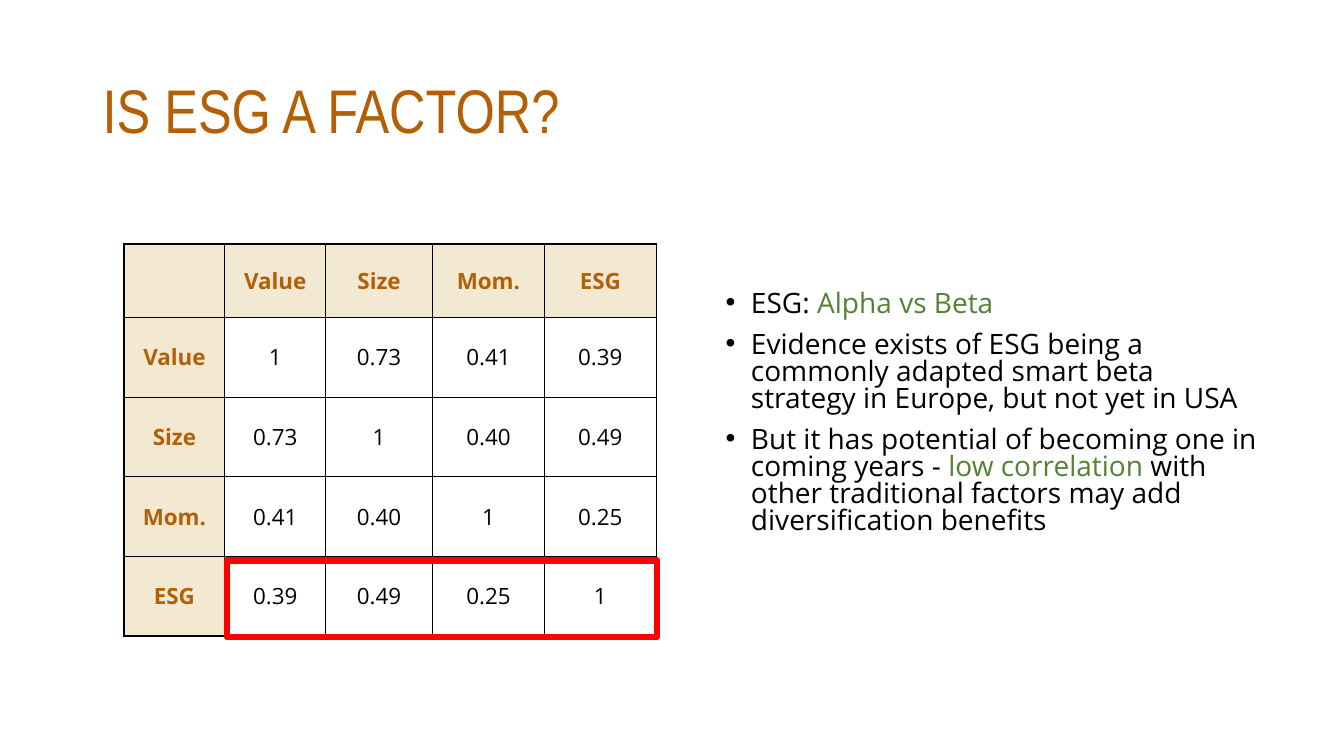
from lxml import etree
from pptx import Presentation
from pptx.dml.color import RGBColor
from pptx.enum import shapes, text
from pptx.oxml import ns
from pptx.util import Inches, Pt

INK = {"rust": "B45F06", "sand": "F3E9D3", "black": "000000",
       "green": "548235", "red": "FF0000", "white": "FFFFFF"}
FACTORS = ["Value", "Size", "Mom.", "ESG"]
SCORES = [["1", "0.73", "0.41", "0.39"],
          ["0.73", "1", "0.40", "0.49"],
          ["0.41", "0.40", "1", "0.25"],
          ["0.39", "0.49", "0.25", "1"]]
POINTS = [
    [("ESG: ", "black"), ("Alpha vs Beta", "green")],
    [("Evidence exists of ESG being a commonly adapted smart beta "
      "strategy in Europe, but not yet in USA", "black")],
    [("But it has potential of becoming one in coming years - ", "black"),
     ("low correlation ", "green"),
     ("with other traditional factors may add diversification benefits",
      "black")],
]


def color(key):
    return RGBColor.from_string(INK[key])


def apply(item, **form):
    for key, val in form.items():
        setattr(item, key, val)


def add_run(para, words, ink, **form):
    run = para.add_run()
    run.text = words
    apply(run.font, **form)
    run.font.color.rgb = color(ink)


def add_frame(slide, box, anchor):
    frame = slide.shapes.add_textbox(*map(Inches, box)).text_frame
    apply(frame, word_wrap=True, vertical_anchor=anchor)
    return frame


# Title
def add_title(slide, box):
    para = add_frame(slide, box, text.MSO_ANCHOR.MIDDLE).paragraphs[0]
    para.line_spacing = 0.9
    add_run(para, "IS ESG A FACTOR?", "rust", name="Arial Narrow", size=Pt(44))


# Bullet list
def add_list(slide, box):
    frame = add_frame(slide, box, text.MSO_ANCHOR.TOP)
    for i, parts in enumerate(POINTS):
        para = frame.add_paragraph() if i else frame.paragraphs[0]
        apply(para, line_spacing=0.8, space_before=Pt(10))
        props = para._p.get_or_add_pPr()
        props.set("marL", str(Inches(0.25)))
        props.set("indent", str(-Inches(0.25)))
        font = etree.SubElement(props, ns.qn("a:buFont"))
        font.set("typeface", "Arial")
        etree.SubElement(props, ns.qn("a:buChar")).set("char", "•")
        for words, ink in parts:
            add_run(para, words, ink, name="Open Sans", size=Pt(20))


# Black rule on each side of a cell
def add_rules(cell):
    props = cell._tc.get_or_add_tcPr()
    for i, side in enumerate(["lnL", "lnR", "lnT", "lnB"]):
        line = etree.Element(ns.qn("a:" + side), w=str(Pt(1)))
        fill = etree.SubElement(line, ns.qn("a:solidFill"))
        etree.SubElement(fill, ns.qn("a:srgbClr"), val=INK["black"])
        props.insert(i, line)


def fill_cell(cell, words, head):
    pad = Inches(0.07)
    apply(cell, margin_left=pad, margin_right=pad, margin_top=pad,
          margin_bottom=pad, vertical_anchor=text.MSO_ANCHOR.MIDDLE)
    cell.fill.solid()
    cell.fill.fore_color.rgb = color("sand" if head else "white")
    add_rules(cell)
    if words:
        para = cell.text_frame.paragraphs[0]
        para.alignment = text.PP_ALIGN.CENTER
        add_run(para, words, "rust" if head else "black",
                name="Open Sans", size=Pt(16), bold=head)


# Correlation table with its last row framed
def add_matrix(slide, box):
    left, top, width, height = box
    rows = [[""] + FACTORS] + [[n] + s for n, s in zip(FACTORS, SCORES)]
    table = slide.shapes.add_table(len(rows), len(rows[0]),
                                   *map(Inches, box)).table
    wide, tall = [1, 1, 1.06, 1.11, 1.11], [0.73] + [0.79] * 4
    for col, size in zip(table.columns, wide):
        col.width = Inches(size)
    for row, size in zip(table.rows, tall):
        row.height = Inches(size)
    for r, row in enumerate(rows):
        for c, words in enumerate(row):
            fill_cell(table.cell(r, c), words, r == 0 or c == 0)

    inset, deep = wide[0] + 0.02, 0.76
    frame = slide.shapes.add_shape(
        shapes.MSO_SHAPE.RECTANGLE, Inches(left + inset),
        Inches(top + height - deep), Inches(width - inset), Inches(deep))
    frame.shadow.inherit = False
    frame.fill.background()
    frame.line.color.rgb = color("red")
    frame.line.width = Pt(4.5)


def main():
    deck = Presentation()
    apply(deck, slide_width=Inches(13.33), slide_height=Inches(7.5))
    slide = deck.slides.add_slide(deck.slide_layouts[6])
    add_title(slide, (0.92, 0.4, 11.5, 1.45))
    add_list(slide, (7.1, 2.85, 5.53, 2.93))
    add_matrix(slide, (1.23, 2.42, 5.29, 3.9))
    deck.save("out.pptx")


if __name__ == "__main__":
    main()
